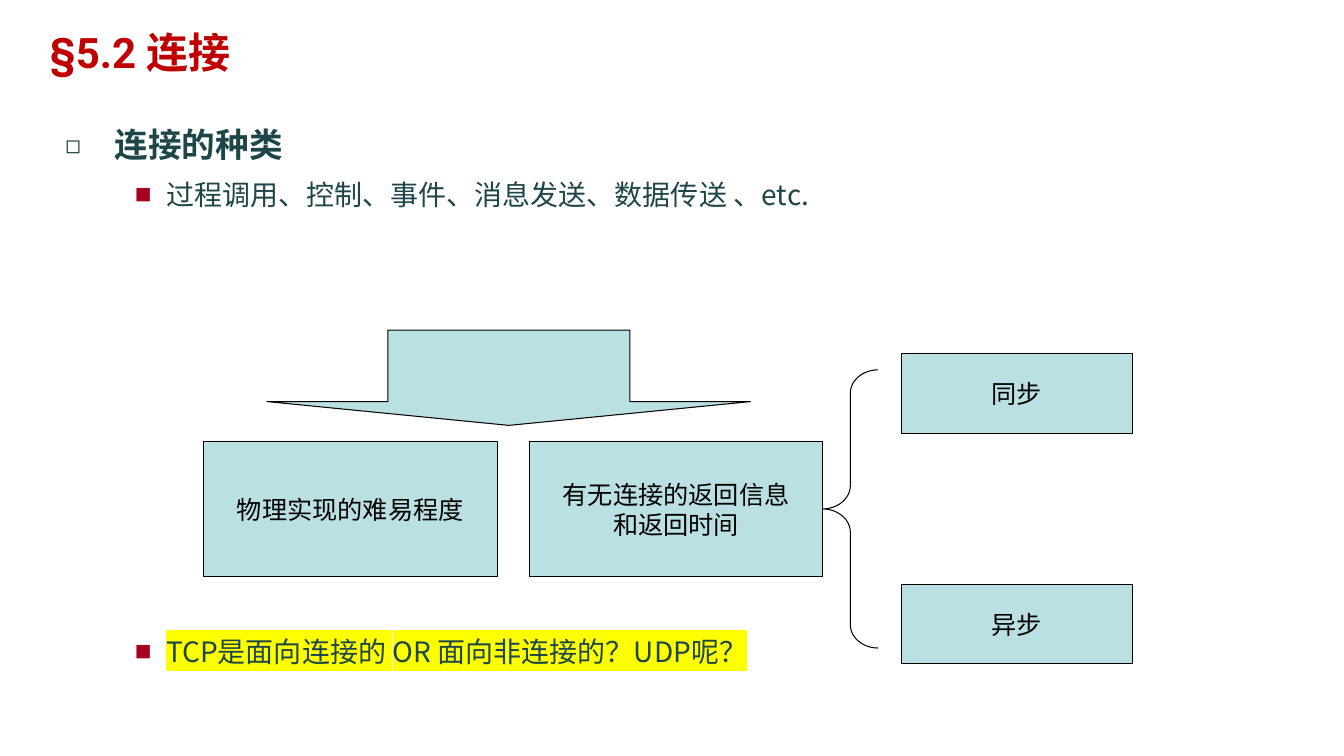
import pptx
import pptx.dml.color
import pptx.enum.shapes
import pptx.enum.text
import pptx.oxml
import pptx.oxml.ns
import pptx.util
from lxml import etree

Cm, Pt = pptx.util.Cm, pptx.util.Pt
SHAPE = pptx.enum.shapes.MSO_SHAPE
ALIGN = pptx.enum.text.PP_ALIGN
ANCHOR = pptx.enum.text.MSO_ANCHOR
qn = pptx.oxml.ns.qn


def color(hex_value):
    return pptx.dml.color.RGBColor.from_string(hex_value)


def apply(target, formats):
    for name, value in formats.items():
        setattr(target, name, value)


class ConnectionSlide:
    CJK, LATIN = "Noto Sans CJK SC", "Roboto"
    RED, TEAL, BLACK = "C00000", "1E4649", "000000"
    PALE, BULLET, YELLOW = "BBE0E3", "A50021", "FFFF00"

    def __init__(self, deck):
        self.slide = deck.slides.add_slide(deck.slide_layouts[6])

    def run(self, paragraph, text, size, ink, bold=False, font=CJK, highlight=None):
        run = paragraph.add_run()
        run.text = text
        apply(run.font, {"size": Pt(size), "bold": bold, "name": font})
        run.font.color.rgb = color(ink)
        properties = run.font._element
        latin = properties.find(qn("a:latin"))
        east_asian = etree.Element(qn("a:ea"), typeface=self.CJK)
        latin.addnext(east_asian)
        if highlight:
            mark = etree.Element(qn("a:highlight"))
            etree.SubElement(mark, qn("a:srgbClr"), val=highlight)
            latin.addprevious(mark)

    def text_box(self, left, top, width, height):
        frame = self.slide.shapes.add_textbox(Cm(left), Cm(top), Cm(width), Cm(height)).text_frame
        apply(frame, {"word_wrap": True, "vertical_anchor": ANCHOR.TOP})
        return frame

    def bullet(self, paragraph, symbol, indent, hanging, ink, percent):
        """Give the paragraph a hanging bullet; indents in cm, size in percent of the text."""
        apply(paragraph, {"alignment": ALIGN.JUSTIFY, "line_spacing": 1.2})
        properties = paragraph._p.get_or_add_pPr()
        properties.set("marL", str(Cm(indent)))
        properties.set("indent", str(-Cm(hanging)))
        tint = etree.SubElement(properties, qn("a:buClr"))
        etree.SubElement(tint, qn("a:srgbClr"), val=ink)
        etree.SubElement(properties, qn("a:buSzPct"), val=str(percent * 1000))
        etree.SubElement(properties, qn("a:buFont"), typeface=self.CJK)
        etree.SubElement(properties, qn("a:buChar"), char=symbol)

    def heading(self, paragraph, text):
        self.bullet(paragraph, "◻", 1.24, 1.24, self.TEAL, 75)
        self.run(paragraph, text, 24, self.TEAL, bold=True)

    def point(self, paragraph, text, highlight=None):
        self.bullet(paragraph, "■", 2.54, 0.79, self.BULLET, 60)
        self.run(paragraph, text, 20, self.TEAL, highlight=highlight)

    def shape(self, kind, left, top, width, height, fill=PALE, adjustments=()):
        shape = self.slide.shapes.add_shape(kind, Cm(left), Cm(top), Cm(width), Cm(height))
        shape.shadow.inherit = False
        if fill:
            shape.fill.solid()
            shape.fill.fore_color.rgb = color(fill)
        else:
            shape.fill.background()
        shape.line.color.rgb = color(self.BLACK)
        shape.line.width = Pt(0.75)
        for index, value in enumerate(adjustments):
            shape.adjustments[index] = value
        return shape

    def label_box(self, lines, left, top, width, height):
        frame = self.shape(SHAPE.RECTANGLE, left, top, width, height).text_frame
        apply(frame, {"word_wrap": False, "vertical_anchor": ANCHOR.MIDDLE})
        for index, line in enumerate(lines):
            paragraph = frame.add_paragraph() if index else frame.paragraphs[0]
            paragraph.alignment = ALIGN.CENTER
            self.run(paragraph, line, 18, self.BLACK)


def main():
    deck = pptx.Presentation()
    apply(deck, {"slide_width": Cm(33.87), "slide_height": Cm(19.05)})
    page = ConnectionSlide(deck)

    title = page.text_box(0.03, 0.58, 33.8, 1.9)
    apply(title, {"margin_left": Cm(0.2), "margin_top": Cm(0.1)})
    title_line = title.paragraphs[0]
    title_line._p.get_or_add_pPr().set("indent", str(Cm(1.02)))
    page.run(title_line, "§5.2 ", 30, page.RED, bold=True, font=page.LATIN)
    page.run(title_line, "连接", 30, page.RED, bold=True)

    kinds = page.text_box(1.4, 2.79, 30.33, 3.3)
    page.heading(kinds.paragraphs[0], "连接的种类")
    examples = kinds.add_paragraph()
    examples.space_before = Pt(5)
    page.point(examples, "过程调用、控制、事件、消息发送、数据传送 、etc.")

    question = page.text_box(1.4, 15.7, 30.33, 1.6)
    page.point(question.paragraphs[0], "TCP是面向连接的 OR 面向非连接的？UDP呢？", page.YELLOW)

    page.shape(SHAPE.DOWN_ARROW, 6.73, 8.32, 12.19, 2.4, adjustments=(0.5, 0.25))
    factors = (["物理实现的难易程度"], ["有无连接的返回信息", "和返回时间"])
    for column, lines in enumerate(factors):
        page.label_box(lines, 5.13 + 8.21 * column, 11.13, 7.4, 3.4)
    page.shape(SHAPE.LEFT_BRACE, 20.73, 9.32, 1.4, 7.01, fill=None, adjustments=(0.42, 0.5))
    for row, mode in enumerate(("同步", "异步")):
        page.label_box([mode], 22.73, 8.92 + 5.81 * row, 5.8, 2)

    deck.save("out.pptx")


if __name__ == "__main__":
    main()
